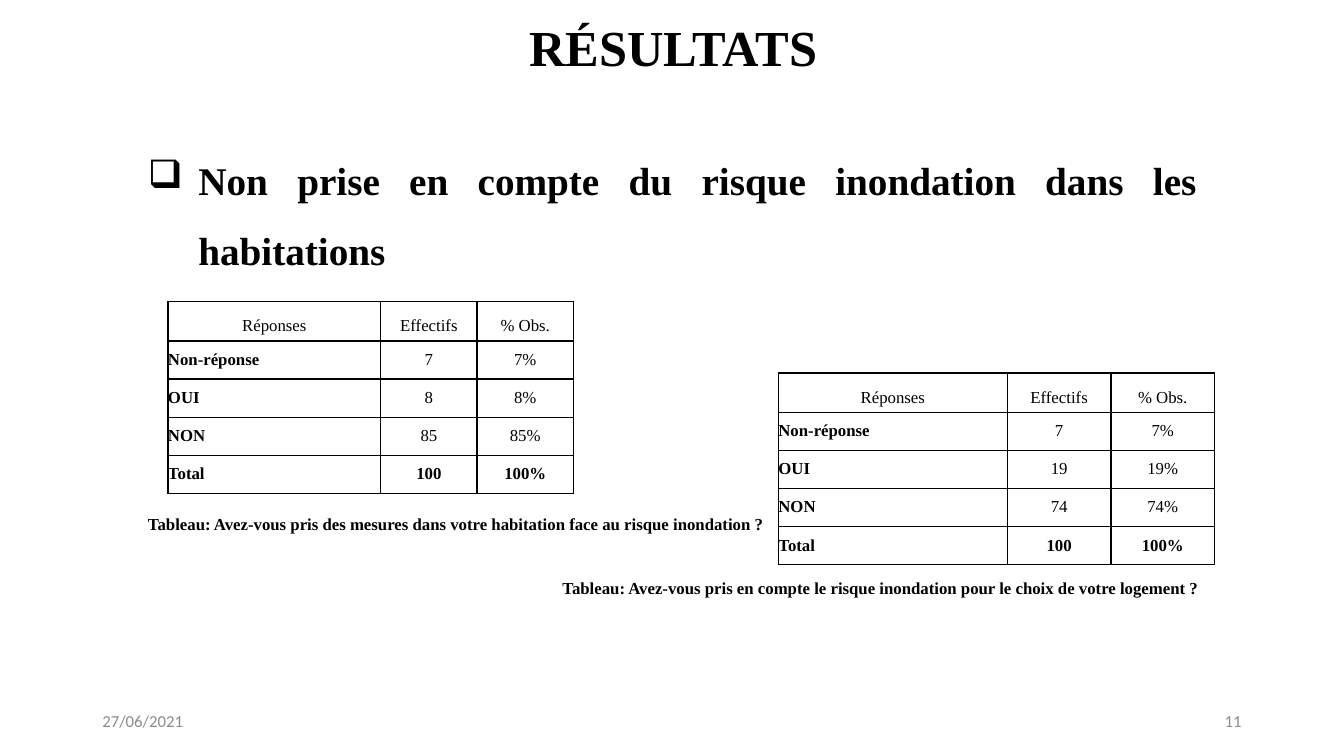
import pptx
import pptx.dml.color
import pptx.enum.text
import pptx.oxml
import pptx.oxml.ns
import pptx.util

Pt = pptx.util.Pt
ALIGN = pptx.enum.text.PP_ALIGN
ANCHOR = pptx.enum.text.MSO_ANCHOR
SERIF = "Times New Roman"
BLACK, WHITE, GREY = "000000", "FFFFFF", "8C8C8C"
HEADINGS = ("Réponses", "Effectifs", "% Obs.")


def color(value):
    return pptx.dml.color.RGBColor.from_string(value)


def style(para, size, align, bold=False, font=SERIF, ink=BLACK, spacing=1):
    para.alignment = align
    para.line_spacing = spacing
    para.font.size = Pt(size)
    para.font.name = font
    para.font.bold = bold
    para.font.color.rgb = color(ink)


def add_text(slide, place, text, size, align, anchor=ANCHOR.MIDDLE, **look):
    box = slide.shapes.add_textbox(*map(Pt, place))
    frame = box.text_frame
    frame.word_wrap = True
    frame.vertical_anchor = anchor
    para = frame.paragraphs[0]
    para.text = text
    style(para, size, align, **look)
    return para


def add_bullet(para, mark, indent):
    properties = para._p.get_or_add_pPr()
    properties.set("marL", str(Pt(indent)))
    properties.set("indent", str(-Pt(indent)))
    bullet = pptx.oxml.ns.qn("a:buChar")
    properties.insert_element_before(
        properties.makeelement(bullet, {"char": mark}), "a:tabLst", "a:defRPr", "a:extLst")


def add_borders(cell):
    for side in ("lnL", "lnR", "lnT", "lnB"):
        cell._tc.get_or_add_tcPr().append(pptx.oxml.parse_xml(
            f'<a:{side} {pptx.oxml.ns.nsdecls("a")} w="{Pt(1)}"><a:solidFill>'
            f'<a:srgbClr val="{BLACK}"/></a:solidFill></a:{side}>'))


def fill_cell(cell, text, header, bold, align):
    cell.margin_left = cell.margin_right = 0
    cell.margin_top = cell.margin_bottom = Pt(0.72 if header else 0)
    cell.vertical_anchor = ANCHOR.MIDDLE if header else ANCHOR.TOP
    para = cell.text_frame.paragraphs[0]
    para.text = text
    style(para, 12, align, bold=bold, spacing=1.5)
    add_borders(cell)
    cell.fill.solid()
    cell.fill.fore_color.rgb = color(WHITE)


def add_answers(slide, left, top, widths, counts):
    total = sum(counts)
    labels = ("Non-réponse", "OUI", "NON", "Total")
    rows = [HEADINGS] + [(label, str(count), f"{100 * count // total}%")
                         for label, count in zip(labels, (*counts, total))]
    heights = [28.3] + [27.2] * len(labels)
    table = slide.shapes.add_table(len(rows), len(widths), Pt(left), Pt(top),
                                   Pt(sum(widths)), Pt(sum(heights))).table
    table.first_row = table.horz_banding = False
    for column, width in zip(table.columns, widths):
        column.width = Pt(width)
    for r, (values, height) in enumerate(zip(rows, heights)):
        table.rows[r].height = Pt(height)
        for c, text in enumerate(values):
            header = r == 0
            bold = not header and (c == 0 or r == len(labels))
            align = ALIGN.CENTER if header or c else ALIGN.LEFT
            fill_cell(table.cell(r, c), text, header, bold, align)


def main():
    deck = pptx.Presentation()
    deck.slide_width, deck.slide_height = Pt(960), Pt(540)
    slide = deck.slides.add_slide(deck.slide_layouts[6])

    # Title and heading
    add_text(slide, (67, 1.5, 828, 68), "RÉSULTATS", 36, ALIGN.CENTER,
             bold=True, spacing=0.9)
    heading = add_text(slide, (98.6, 91, 763.2, 108),
                       "Non prise en compte du risque inondation dans les habitations",
                       28, ALIGN.JUSTIFY, ANCHOR.BOTTOM, bold=True, spacing=1.5)
    add_bullet(heading, "❑", 36)

    # Date and slide number
    for left, text, align in ((66, "27/06/2021", ALIGN.LEFT), (678, "11", ALIGN.RIGHT)):
        add_text(slide, (left, 500.5, 216, 28.8), text, 12, align,
                 font="Calibri", ink=GREY)

    # Answer tables
    add_answers(slide, 120, 215.3, (152, 68.8, 68.8), (7, 8, 85))
    add_answers(slide, 556, 266.4, (163.6, 74, 74), (7, 19, 74))

    # Table captions
    for place, question in (
            ((98.6, 352, 464.4, 44.6),
             "Avez-vous pris des mesures dans votre habitation face au risque inondation ?"),
            ((394.6, 397.5, 478.8, 44.6),
             "Avez-vous pris en compte le risque inondation pour le choix de votre logement ?")):
        add_text(slide, place, f"Tableau: {question}", 12, ALIGN.JUSTIFY, bold=True)

    deck.save("out.pptx")


if __name__ == "__main__":
    main()
